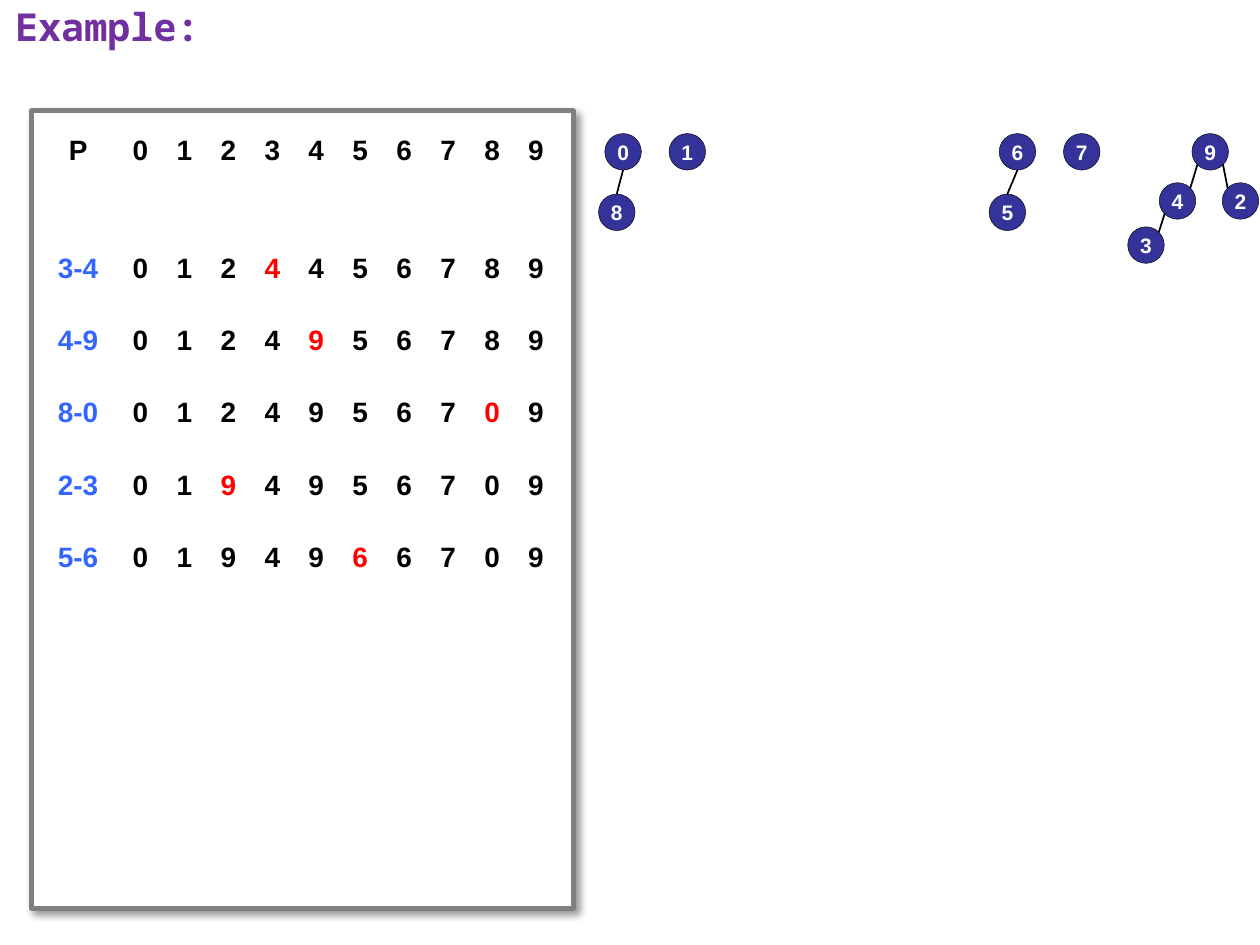
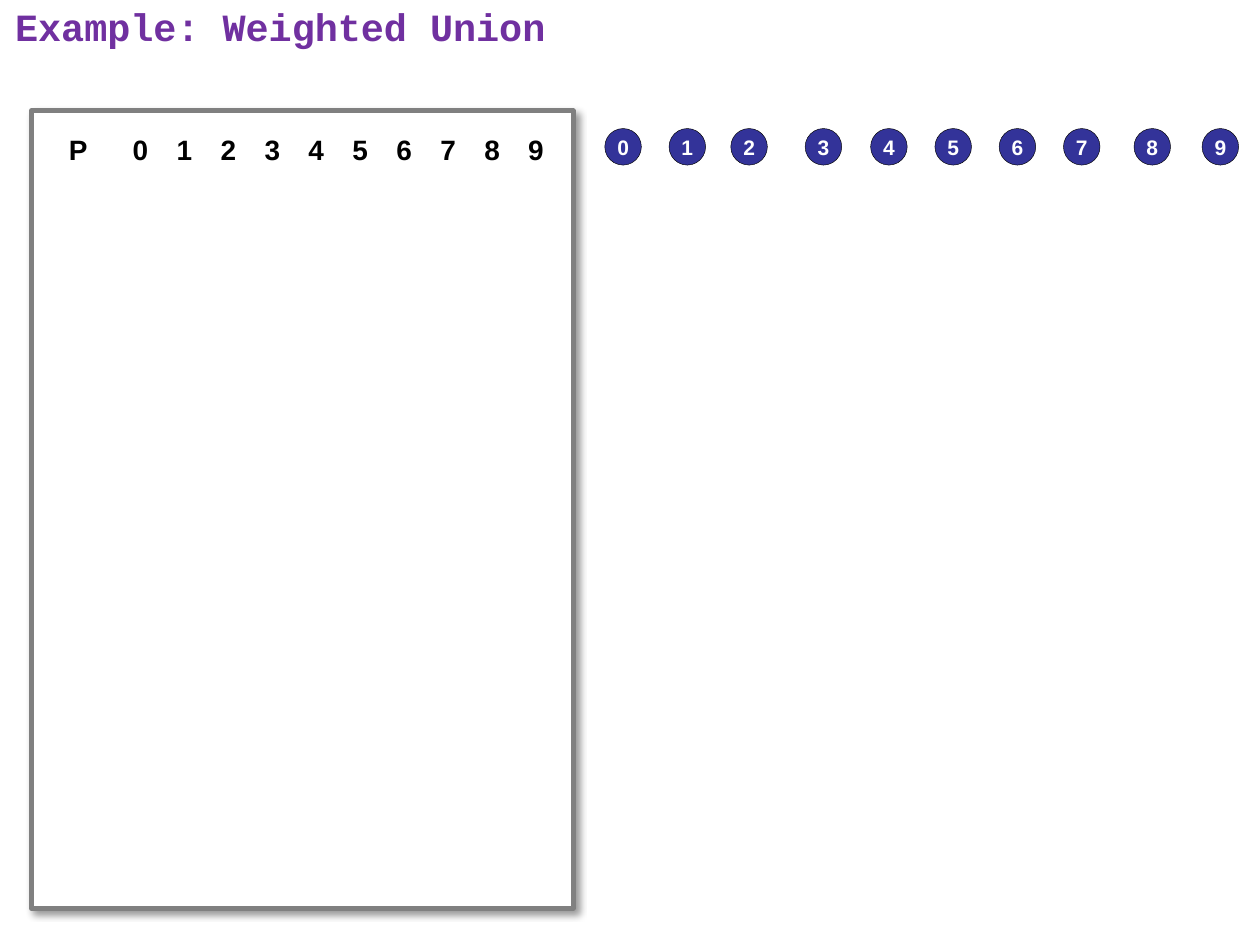
from lxml.etree import SubElement
from pptx import Presentation
from pptx.dml.color import RGBColor
from pptx.enum.shapes import MSO_CONNECTOR as Connector, MSO_SHAPE as Shape
from pptx.enum.text import MSO_ANCHOR as Anchor, PP_ALIGN as Align
from pptx.oxml.ns import qn
from pptx.util import Inches, Pt

PURPLE = RGBColor(0x70, 0x30, 0xA0)
NAVY = RGBColor(0x33, 0x33, 0x99)
BLUE = RGBColor(0x33, 0x66, 0xFF)
RED = RGBColor(0xFF, 0x00, 0x00)
GRAY = RGBColor(0x80, 0x80, 0x80)
BLACK = RGBColor(0x00, 0x00, 0x00)
WHITE = RGBColor(0xFF, 0xFF, 0xFF)

GRID_COLUMNS, GRID_ROWS = 100, 75
NODE_SIZE = 2.9
SITES = {
    "top": (0.5, 0), "bottom": (0.5, 1),
    "top left": (0.15, 0.15), "top right": (0.85, 0.15),
    "bottom left": (0.15, 0.85), "bottom right": (0.85, 0.85),
}
NODE_SLOTS = [48, 53.1, 58, 63.9, 69.1, 74.2, 79.3, 84.4, 90, 95.4]
UNIONS = [(3, 4), (4, 9), (8, 0), (2, 3), (5, 6)]
FOREST = {
    9: (94.6, 10.6), 8: (47.5, 15.4), 5: (78.5, 15.4), 4: (92, 14.5),
    3: (89.5, 18), 2: (97, 14.5),
    **{root: (NODE_SLOTS[root], 10.6) for root in (0, 1, 6, 7)},
}
FOREST_EDGES = [
    (4, "bottom left", 3, "top right"),
    (9, "bottom left", 4, "top right"),
    (0, "bottom", 8, "top"),
    (9, "bottom right", 2, "top left"),
    (6, "bottom", 5, "top"),
]


class Deck:
    def __init__(self):
        self.prs = Presentation()
        self.prs.slide_width, self.prs.slide_height = Inches(10), Inches(7.5)
        self.slide = None

    def x(self, columns):
        return round(self.prs.slide_width * columns / GRID_COLUMNS)

    def y(self, rows):
        return round(self.prs.slide_height * rows / GRID_ROWS)

    def box(self, left, top, width, height):
        return self.x(left), self.y(top), self.x(width), self.y(height)

    def style(self, paragraph, size, color, align=Align.CENTER, font="Arial"):
        paragraph.alignment = align
        paragraph.font.name = font
        paragraph.font.size = Pt(size)
        paragraph.font.bold = True
        paragraph.font.color.rgb = color

    def new_slide(self, heading, font):
        self.slide = self.prs.slides.add_slide(self.prs.slide_layouts[5])
        title = self.slide.shapes.title
        title.left, title.top, title.width, title.height = self.box(0.2, -0.3, 99.6, 6)
        frame = title.text_frame
        frame.text = heading
        frame.vertical_anchor = Anchor.TOP
        self.style(frame.paragraphs[0], 22, PURPLE, Align.LEFT, font)

    def shape(self, kind, bounds, fill, line, weight):
        shape = self.slide.shapes.add_shape(kind, *self.box(*bounds))
        shape.shadow.inherit = False
        shape.fill.solid()
        shape.fill.fore_color.rgb = fill
        shape.line.color.rgb = line
        shape.line.width = Pt(weight)
        return shape

    def panel(self):
        panel = self.shape(Shape.RECTANGLE, (2.5, 8.8, 43, 63.3), WHITE, GRAY, 2.75)
        effects = panel._element.spPr.find(qn("a:effectLst"))
        shadow = SubElement(effects, qn("a:outerShdw"), blurRad=str(Pt(4)),
                            dist=str(Pt(3)), dir=str(45 * 60000), algn="tl", rotWithShape="0")
        color = SubElement(shadow, qn("a:srgbClr"), val=str(BLACK))
        SubElement(color, qn("a:alpha"), val="40000")

    def parent_table(self, unions=()):
        rows = parent_rows(unions)
        frame = self.slide.shapes.add_table(
            len(rows), 11, *self.box(3, 9.1, 41.3, 5.73 * (len(rows) - 1) + 3.65))
        table = frame.table
        table.first_row = table.horz_banding = False
        for index, column in enumerate(table.columns):
            column.width = self.x(3.49 if index else 6.4)
        for index, (row, values) in enumerate(zip(table.rows, rows)):
            row.height = self.y(3.65 if index == 1 else 5.73)
            for cell, (text, color) in zip(row.cells, values):
                cell.fill.background()
                cell.vertical_anchor = Anchor.MIDDLE
                cell.text = text
                self.style(cell.text_frame.paragraphs[0], 16, color)

    def node(self, label, left, top):
        node = self.shape(Shape.OVAL, (left, top, NODE_SIZE, NODE_SIZE), NAVY, BLACK, 0.25)
        frame = node.text_frame
        frame.margin_left = frame.margin_right = frame.margin_top = frame.margin_bottom = 0
        frame.word_wrap = False
        frame.vertical_anchor = Anchor.MIDDLE
        frame.text = str(label)
        self.style(frame.paragraphs[0], 12, WHITE)

    def edge(self, start, start_site, end, end_site):
        points = []
        for (left, top), site in ((start, start_site), (end, end_site)):
            across, down = SITES[site]
            points += [self.x(left + across * NODE_SIZE), self.y(top + down * NODE_SIZE)]
        edge = self.slide.shapes.add_connector(Connector.STRAIGHT, *points)
        edge.line.color.rgb = BLACK
        edge.line.width = Pt(1)
        SubElement(edge._element.spPr, qn("a:effectLst"))


def find_root(parents, item):
    while parents[item] != item:
        item = parents[item]
    return item


def parent_rows(unions):
    parents = list(range(10))
    rows = [[("P", BLACK)] + [(str(p), BLACK) for p in parents], [("", BLACK)] * 11]
    for first, second in unions:
        changed = find_root(parents, first)
        parents[changed] = find_root(parents, second)
        rows.append([(f"{first}-{second}", BLUE)] + [
            (str(p), RED if item == changed else BLACK) for item, p in enumerate(parents)])
    return rows


def main():
    deck = Deck()

    deck.new_slide("Example:", "Noto Sans Mono")
    deck.panel()
    deck.parent_table(UNIONS)
    for label, place in FOREST.items():
        deck.node(label, *place)
    for parent, parent_site, child, child_site in FOREST_EDGES:
        deck.edge(FOREST[parent], parent_site, FOREST[child], child_site)

    deck.new_slide("Example: Weighted Union", "Courier New")
    deck.panel()
    deck.parent_table()
    for label, slot in enumerate(NODE_SLOTS):
        deck.node(label, slot, 10.2)

    deck.prs.save("out.pptx")


if __name__ == "__main__":
    main()
